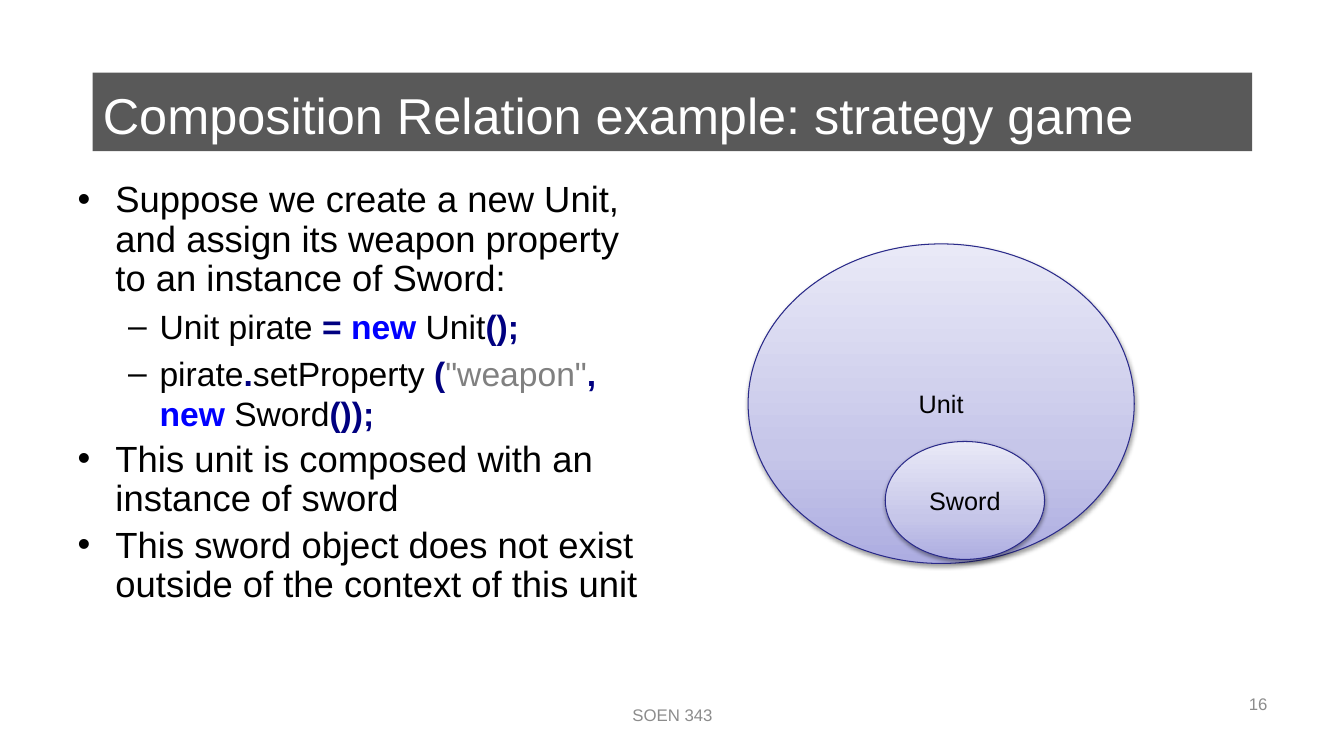
import pptx
import pptx.util
import pptx.dml.color
import pptx.enum.shapes
import pptx.enum.text
import pptx.oxml
import pptx.oxml.ns

Inches = pptx.util.Inches
Pt = pptx.util.Pt
ALIGN = pptx.enum.text.PP_ALIGN
ANCHOR = pptx.enum.text.MSO_ANCHOR
SHAPE = pptx.enum.shapes.MSO_SHAPE

HUES = {
    "text": "000000", "white": "FFFFFF", "bar": "595959", "foot": "8C8C8C",
    "sign": "000080", "key": "0000FF", "quote": "808080",
    "edge": "2A2A89", "low": "ADADE1", "mid": "C6C6E9", "high": "E9E9F7",
}
BOLD = {"sign", "key"}
STOPS = [(0, "low"), (35, "mid"), (100, "high")]

POINTS = [
    (0, [("Suppose we create a new Unit, and assign its weapon property "
          "to an instance of Sword:", "text")]),
    (1, [("Unit pirate ", "text"), ("=", "sign"), (" ", "text"),
         ("new", "key"), (" Unit", "text"), ("();", "sign")]),
    (1, [("pirate", "text"), (".", "sign"), ("setProperty ", "text"),
         ("(", "sign"), ('"weapon"', "quote"), (",", "sign"), (" ", "text"),
         ("new", "key"), (" Sword", "text"), ("());", "sign")]),
    (0, [("This unit is composed with an instance of sword", "text")]),
    (0, [("This sword object does not exist outside of the context of "
          "this unit", "text")]),
]
LEVELS = [{"size": 26, "line": 0.9}, {"size": 24, "line": 1.0}]


def rgb(hue):
    """Return the named colour."""
    return pptx.dml.color.RGBColor.from_string(HUES[hue])


def style(item, **vals):
    """Set each attribute of the item from the format values."""
    for name, val in vals.items():
        setattr(item, name, val)


def place(shape, box):
    """Move a shape to a box of left, top, width and height in inches."""
    names = ("left", "top", "width", "height")
    style(shape, **dict(zip(names, map(Inches, box))))


def write(para, text, size, hue):
    """Add a run of text to a paragraph."""
    run = para.add_run()
    run.text = text
    style(run.font, name="Arial", size=Pt(size), bold=hue in BOLD)
    run.font.color.rgb = rgb(hue)


def label(shape, text, size, hue, align, anchor=ANCHOR.MIDDLE, after=0):
    """Write one line of text in a shape."""
    frame = shape.text_frame
    style(frame, word_wrap=True, vertical_anchor=anchor,
          auto_size=pptx.enum.text.MSO_AUTO_SIZE.NONE)
    para = frame.paragraphs[0]
    style(para, alignment=align, space_after=Pt(after))
    write(para, text, size, hue)


def header(slide, box):
    """Build the title on its dark bar."""
    left, top, width, height = box
    bar = slide.shapes.add_shape(SHAPE.RECTANGLE, *map(Inches, box))
    bar.shadow.inherit = False
    bar.fill.solid()
    bar.fill.fore_color.rgb = rgb("bar")
    bar.line.fill.background()
    title = slide.shapes.title
    title._element.addprevious(bar._element)
    place(title, (left, top, width - 0.08, height + 0.05))
    label(title, "Composition Relation example: strategy game", 36, "white",
          ALIGN.LEFT)


def points(slide, box):
    """Build the bullet list with its code lines."""
    body = slide.placeholders[1]
    place(body, box)
    frame = body.text_frame
    style(frame, word_wrap=True, vertical_anchor=ANCHOR.TOP,
          auto_size=pptx.enum.text.MSO_AUTO_SIZE.NONE)
    for i, (level, runs) in enumerate(POINTS):
        para = frame.add_paragraph() if i else frame.paragraphs[0]
        form = LEVELS[level]
        style(para, level=level, line_spacing=form["line"])
        if i == 0:
            para.space_before = Pt(0)
        for text, hue in runs:
            write(para, text, form["size"], hue)


def oval(slide, box, text):
    """Build a shaded oval with a label."""
    shape = slide.shapes.add_shape(SHAPE.OVAL, *map(Inches, box))
    shape.fill.gradient()
    shape.fill.gradient_angle = 90
    shape.line.color.rgb = rgb("edge")
    shape.line.width = Pt(0.75)
    shape.shadow.inherit = False
    props = shape._element.spPr
    space = pptx.oxml.ns.nsdecls("a")
    stops = props.find(".//" + pptx.oxml.ns.qn("a:gsLst"))
    for old in list(stops):
        stops.remove(old)
    for spot, hue in STOPS:
        stops.append(pptx.oxml.parse_xml(
            f'<a:gs {space} pos="{spot * 1000}">'
            f'<a:srgbClr val="{HUES[hue]}"/></a:gs>'))
    props.find(pptx.oxml.ns.qn("a:effectLst")).append(pptx.oxml.parse_xml(
        f'<a:outerShdw {space} blurRad="{Pt(3.1)}" dist="{Pt(1.6)}" '
        'dir="5400000" rotWithShape="0"><a:srgbClr val="000000">'
        '<a:alpha val="38000"/></a:srgbClr></a:outerShdw>'))
    label(shape, text, 18, "text", ALIGN.CENTER)


def nest(slide, box):
    """Build the unit with the sword inside it."""
    left, top, width, height = box
    oval(slide, box, "Unit")
    oval(slide, (left + 1.36, top + 1.96, 1.58, 1.17), "Sword")


def footer(slide, box):
    """Build the course name and the slide number."""
    left, top, width, height = box
    parts = [("SOEN 343", left, 4.22, ALIGN.CENTER, ANCHOR.MIDDLE),
             ("16", left + width - 3.11, 3.11, ALIGN.RIGHT, ANCHOR.TOP)]
    for text, x, wide, align, anchor in parts:
        note = slide.shapes.add_textbox(*map(Inches, (x, top, wide, height)))
        label(note, text, 12, "foot", align, anchor, 6)


def main():
    """Build and save the slide."""
    deck = pptx.Presentation()
    style(deck, slide_width=Inches(13.33), slide_height=Inches(7.5))
    slide = deck.slides.add_slide(deck.slide_layouts[1])
    header(slide, (0.92, 0.72, 11.5, 0.78))
    points(slide, (0.67, 1.75, 5.89, 4.95))
    footer(slide, (4.56, 6.83, 8.11, 0.52))
    nest(slide, (7.42, 2.42, 3.83, 3.17))
    deck.save("out.pptx")


if __name__ == "__main__":
    main()
